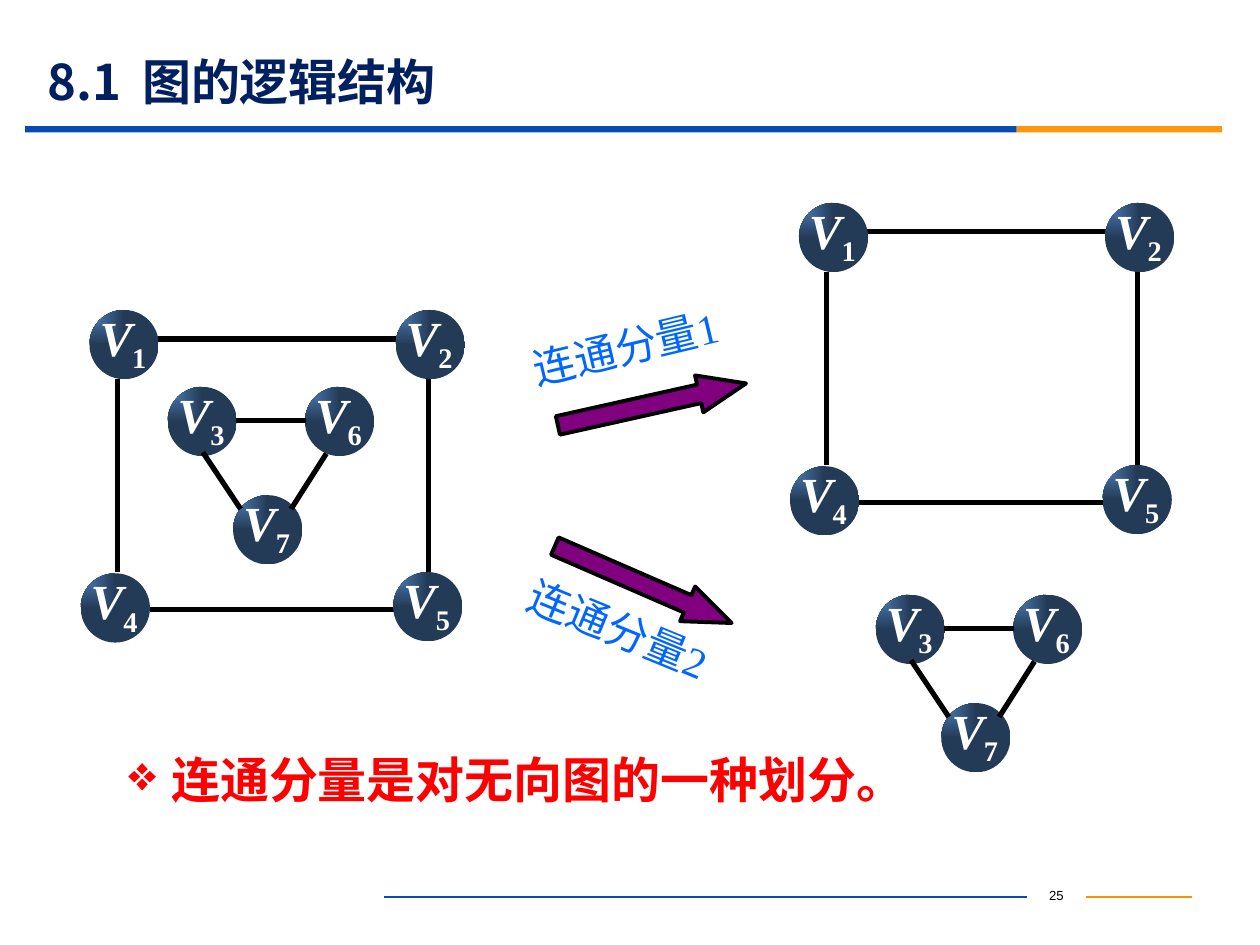
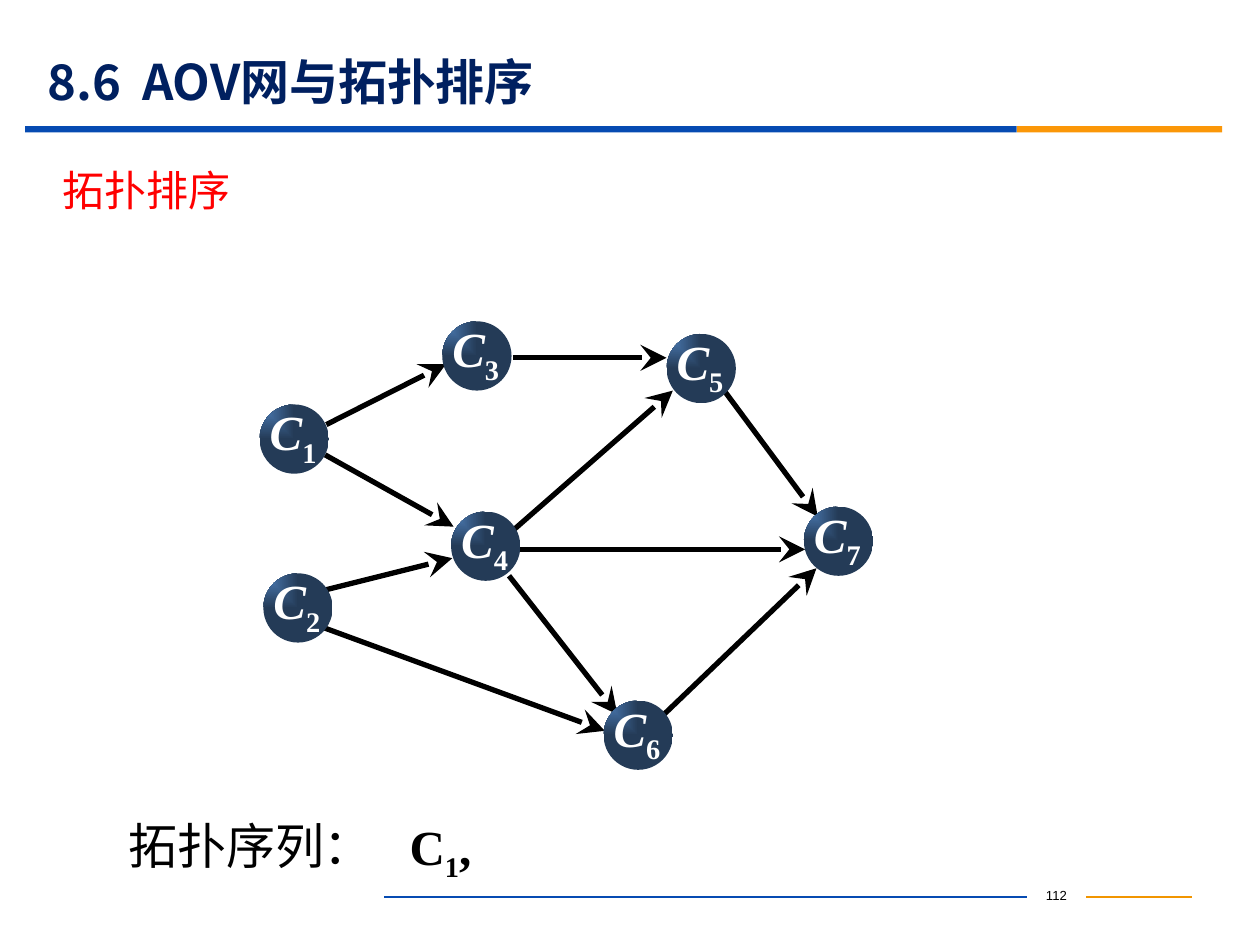
from lxml import etree
from pptx import Presentation
from pptx import util as u
from pptx.dml.color import RGBColor
from pptx.enum import shapes, text
from pptx.oxml import ns, parse_xml

# The slide is a grid of 100 columns by 75 rows of square cells.
COLUMNS, ROWS = 100, 75
CELL = u.Inches(0.1)

BLUE = RGBColor(0x06, 0x4B, 0xB2)
ORANGE = RGBColor(0xFB, 0x97, 0x08)
FOOTER_ORANGE = RGBColor(0xF1, 0x95, 0x00)
NAVY = RGBColor(0x00, 0x20, 0x60)
LABEL_BLUE = RGBColor(0x00, 0x66, 0xFF)
PURPLE = RGBColor(0x80, 0x00, 0x80)
RED = RGBColor(0xFF, 0x00, 0x00)
BLACK = RGBColor(0x00, 0x00, 0x00)
WHITE = RGBColor(0xFF, 0xFF, 0xFF)
BALL_LIGHT = RGBColor(0x4F, 0x81, 0xBD)
BALL_DARK = RGBColor(0x24, 0x3B, 0x57)

SANS = "Noto Sans CJK SC"
SERIF = "Times New Roman"
BALL = 5.5

# Vertices are left and top of a ball; edges are (start, end) points.
SQUARE_VERTICES = {"1": (7.1, 24.6), "2": (31.4, 24.6),
                   "4": (6.4, 45.5), "5": (31.2, 45.4)}
SQUARE_EDGES = [((12.2, 26.9), (31.8, 26.9)), ((34, 30.1), (34, 45.8)),
                ((9.3, 30.1), (9.3, 45.4)), ((11.9, 48.4), (31.4, 48.4))]
TRIANGLE_VERTICES = {"3": (13.3, 30.7), "6": (24.2, 30.7), "7": (18.5, 39.3)}
TRIANGLE_EDGES = [((18.7, 33.4), (24.3, 33.4)), ((16.1, 35.9), (19.1, 40.4)),
                  ((25.9, 36), (23.1, 40.4))]
COURSE_VERTICES = {"1": (20.6, 32.1), "2": (20.9, 45.5), "3": (35.1, 25.5),
                   "4": (35.8, 40.6), "5": (52.9, 26.5), "6": (47.9, 55.6),
                   "7": (63.8, 40.2)}
COURSE_EDGES = [((25.9, 33.7), (35.4, 28.9)), ((25.8, 36.1), (36, 41.8)),
                ((25.1, 49.6), (48, 58)), ((25.9, 46.8), (35.9, 44.3)),
                ((40.7, 28.4), (52.9, 28.4)), ((40.6, 42.2), (53.4, 31)),
                ((40.4, 45.7), (49, 56.7)), ((40.9, 43.6), (63.9, 43.6)),
                ((52.7, 56.7), (64.8, 45.1)), ((57.4, 30.9), (64.9, 41))]


def cells(*counts):
    return [round(count * CELL) for count in counts]


def add_line(slide, start, end, color=BLACK, weight=3, arrow=False):
    line = slide.shapes.add_connector(shapes.MSO_CONNECTOR.STRAIGHT,
                                      *cells(*start, *end))
    line.line.color.rgb = color
    line.line.width = u.Pt(weight)
    if arrow:
        etree.SubElement(line.line._get_or_add_ln(), ns.qn("a:tailEnd"),
                         type="stealth", w="lg", len="lg")
    etree.SubElement(line._element.spPr, ns.qn("a:effectLst"))


def add_plain_shape(slide, kind, box, fill):
    shape = slide.shapes.add_shape(kind, *cells(*box))
    shape.shadow.inherit = False
    shape.fill.solid()
    shape.fill.fore_color.rgb = fill
    shape.line.fill.background()
    return shape


def add_text(slide, box, runs, size, color, font=SANS, bold=False,
             align=text.PP_ALIGN.LEFT, rotation=0, bullet=None, tab=None):
    """Add a one-paragraph text box; runs are strings or (string, baseline %)."""
    shape = slide.shapes.add_textbox(*cells(*box))
    shape.rotation = rotation
    frame = shape.text_frame
    frame.word_wrap = True
    paragraph = frame.paragraphs[0]
    paragraph.alignment = align
    properties = paragraph._p.get_or_add_pPr()
    if bullet:
        indent = cells(3.4)[0]
        properties.set("marL", str(indent))
        properties.set("indent", str(-indent))
        etree.SubElement(properties, ns.qn("a:buChar"), char=bullet)
    if tab:
        tabs = etree.SubElement(properties, ns.qn("a:tabLst"))
        etree.SubElement(tabs, ns.qn("a:tab"), pos=str(cells(tab)[0]), algn="l")
    paragraph.font.size = u.Pt(size)
    paragraph.font.bold = bold
    paragraph.font.color.rgb = color
    paragraph.font.name = font
    etree.SubElement(properties.find(ns.qn("a:defRPr")), ns.qn("a:ea"),
                     typeface=SANS)
    for content in runs:
        words, baseline = (content, 0) if isinstance(content, str) else content
        run = paragraph.add_run()
        run.text = words
        if baseline:
            run._r.get_or_add_rPr().set("baseline", str(baseline * 1000))
    return shape


def add_vertex(slide, letter, number, left, top):
    ball = add_plain_shape(slide, shapes.MSO_SHAPE.OVAL,
                           (left, top, BALL, BALL), BALL_DARK)
    solid = ball._element.spPr.find(ns.qn("a:solidFill"))
    gradient = parse_xml(
        f'<a:gradFill {ns.nsdecls("a")} rotWithShape="1"><a:gsLst>'
        f'<a:gs pos="0"><a:srgbClr val="{BALL_LIGHT}"/></a:gs>'
        f'<a:gs pos="100000"><a:srgbClr val="{BALL_DARK}"/></a:gs></a:gsLst>'
        '<a:path path="rect"><a:fillToRect r="100000" b="100000"/></a:path>'
        '</a:gradFill>')
    solid.getparent().replace(solid, gradient)
    label = add_text(slide, (left + 0.7, top - 0.5, 5.1, 6.5),
                     [letter, (number, -25)], 28, WHITE, SERIF, True)
    frame = label.text_frame
    frame.margin_left, frame.margin_top, frame.margin_right, frame.margin_bottom = \
        cells(0.1, 0.3, 0, 0.1)
    frame.paragraphs[0].runs[0].font.italic = True


def add_graph(slide, letter, vertices, edges, shift=(0, 0), arrow=False,
              edges_on_top=False):
    def moved(point):
        return point[0] + shift[0], point[1] + shift[1]

    def draw_edges():
        for start, end in edges:
            add_line(slide, moved(start), moved(end), arrow=arrow)

    if not edges_on_top:
        draw_edges()
    for number, corner in vertices.items():
        add_vertex(slide, letter, number, *moved(corner))
    if edges_on_top:
        draw_edges()


def add_component_arrow(slide, label, label_box, label_angle, arrow_corner, arrow_angle):
    caption = add_text(slide, label_box, [label], 24, LABEL_BLUE, SERIF,
                       rotation=label_angle)
    caption.text_frame.auto_size = text.MSO_AUTO_SIZE.SHAPE_TO_FIT_TEXT
    arrow = add_plain_shape(slide, shapes.MSO_SHAPE.RIGHT_ARROW,
                            (*arrow_corner, 15.3, 3), PURPLE)
    arrow.adjustments[0], arrow.adjustments[1] = 0.5, 1.27
    arrow.line.color.rgb = BLACK
    arrow.line.width = u.Pt(2.25)
    arrow.rotation = arrow_angle


def add_lecture_slide(presentation, section, heading, page):
    """Add a blank slide with the title, the title band and the footer."""
    slide = presentation.slides.add_slide(presentation.slide_layouts[6])
    add_text(slide, (81.5, 69.9, 4.7, 2.5), [page], 7.5, BLACK, "Arial",
             align=text.PP_ALIGN.CENTER)
    add_line(slide, (86.2, 71.2), (94.6, 71.2), FOOTER_ORANGE, 0.75)
    add_line(slide, (30.5, 71.2), (81.5, 71.2), BLUE, 0.75)
    for left, width, color in ((2, 78.7, BLUE), (80.7, 16.3, ORANGE)):
        add_plain_shape(slide, shapes.MSO_SHAPE.RECTANGLE,
                        (left, 10, width, 0.5), color)
    title = add_text(slide, (2.8, 4.3, 90, 4.3), [f"{section}\t{heading}"],
                     28, NAVY, bold=True, tab=7.5)
    title.text_frame.vertical_anchor = text.MSO_ANCHOR.MIDDLE
    return slide


def build_components_slide(presentation):
    slide = add_lecture_slide(presentation, "8.1", "图的逻辑结构", "25")
    for shift in ((0, 0), (56.3, -8.5)):
        add_graph(slide, "V", SQUARE_VERTICES, SQUARE_EDGES, shift)
    for shift in ((0, 0), (56.2, 16.5)):
        add_graph(slide, "V", TRIANGLE_VERTICES, TRIANGLE_EDGES, shift,
                  edges_on_top=True)
    add_component_arrow(slide, "连通分量1", (41.1, 24.6, 20.8, 5), 346.6,
                        (44.1, 30.6), 347.4)
    add_component_arrow(slide, "连通分量2", (40.4, 48.3, 21.7, 5), 22.4,
                        (43.4, 44.9), 23.5)
    add_text(slide, (9.2, 59, 65.2, 5.7), ["连通分量是对无向图的一种划分。"],
             28, RED, bold=True, bullet="❖")


def build_topological_sort_slide(presentation):
    slide = add_lecture_slide(presentation, "8.6", "AOV网与拓扑排序", "112")
    add_text(slide, (4, 12.6, 65.1, 5), ["拓扑排序"], 24, RED)
    add_graph(slide, "C", COURSE_VERTICES, COURSE_EDGES, arrow=True)
    add_text(slide, (9.2, 64.2, 24, 5.7), ["拓扑序列："], 28, BLACK, SERIF)
    add_text(slide, (30.9, 64.3, 8.1, 5.7), ["C", ("1", -25), ","], 28, BLACK,
             SERIF, True, text.PP_ALIGN.CENTER)


def main():
    presentation = Presentation()
    presentation.slide_width, presentation.slide_height = cells(COLUMNS, ROWS)
    build_components_slide(presentation)
    build_topological_sort_slide(presentation)
    presentation.save("out.pptx")


if __name__ == "__main__":
    main()
